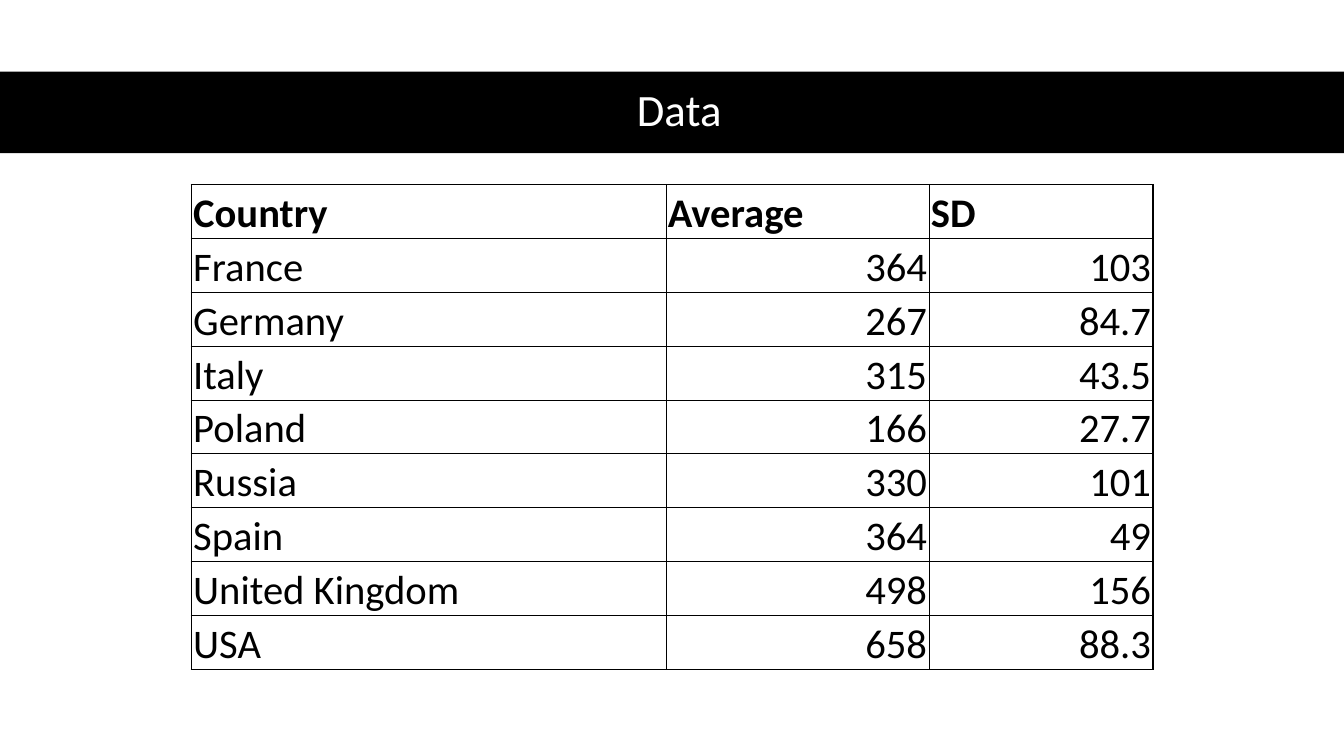
from lxml import etree
from pptx import Presentation
from pptx import util as u
from pptx.dml.color import RGBColor
from pptx.enum import shapes, text
from pptx.oxml import ns

Pt = u.Pt
BLACK = RGBColor(0, 0, 0)
WHITE = RGBColor(255, 255, 255)
FONT = "Calibri"
THIN, THICK = 0.5, 1
COLUMN_WIDTHS = (339, 188, 160)
ROW_HEIGHT = 38.48
ROWS = (
    ("Country", "Average", "SD"),
    ("France", "364", "103"),
    ("Germany", "267", "84.7"),
    ("Italy", "315", "43.5"),
    ("Poland", "166", "27.7"),
    ("Russia", "330", "101"),
    ("Spain", "364", "49"),
    ("United Kingdom", "498", "156"),
    ("USA", "658", "88.3"),
)


def write_text(frame, content, *, size, color, bold=False,
               align=text.PP_ALIGN.LEFT, line_spacing=None):
    paragraph = frame.paragraphs[0]
    paragraph.alignment = align
    paragraph.line_spacing = line_spacing
    run = paragraph.add_run()
    run.text = content
    run.font.name = FONT
    run.font.size = Pt(size)
    run.font.bold = bold
    run.font.color.rgb = color


def add_band(slide, left, top, width, height):
    shape = slide.shapes.add_shape(shapes.MSO_SHAPE.RECTANGLE,
                                   Pt(left), Pt(top), Pt(width), Pt(height))
    shape.shadow.inherit = False
    shape.fill.solid()
    shape.fill.fore_color.rgb = BLACK
    shape.line.fill.background()


def add_title(slide, content, left, top, width, height):
    frame = slide.shapes.add_textbox(Pt(left), Pt(top), Pt(width), Pt(height)).text_frame
    frame.word_wrap = True
    frame.vertical_anchor = text.MSO_ANCHOR.MIDDLE
    write_text(frame, content, size=32, color=WHITE,
               align=text.PP_ALIGN.CENTER, line_spacing=0.9)


def set_borders(cell, **widths):
    properties = cell._tc.get_or_add_tcPr()
    for side in "LRTB":
        line = etree.SubElement(properties, ns.qn(f"a:ln{side}"), w=str(Pt(widths[side])))
        fill = etree.SubElement(line, ns.qn("a:solidFill"))
        etree.SubElement(fill, ns.qn("a:srgbClr"), val=str(BLACK))


def add_data_table(slide, left, top):
    row_count, column_count = len(ROWS), len(COLUMN_WIDTHS)
    table = slide.shapes.add_table(row_count, column_count, Pt(left), Pt(top),
                                   Pt(sum(COLUMN_WIDTHS)), Pt(ROW_HEIGHT * row_count)).table
    table.horz_banding = False
    for column, width in zip(table.columns, COLUMN_WIDTHS):
        column.width = Pt(width)
    for row_index, values in enumerate(ROWS):
        table.rows[row_index].height = Pt(ROW_HEIGHT)
        for column_index, value in enumerate(values):
            cell = table.cell(row_index, column_index)
            header = row_index == 0
            number = not header and column_index > 0
            cell.margin_left = cell.margin_right = cell.margin_top = Pt(1.4)
            cell.margin_bottom = 0
            cell.vertical_anchor = text.MSO_ANCHOR.BOTTOM
            write_text(cell.text_frame, value, size=29, color=BLACK, bold=header,
                       align=text.PP_ALIGN.RIGHT if number else text.PP_ALIGN.LEFT)
            set_borders(cell,
                        L=THICK if column_index == 0 else THIN,
                        R=THICK if column_index == column_count - 1 else THIN,
                        T=THICK if header else THIN,
                        B=THICK if row_index == row_count - 1 else THIN)
            cell.fill.background()


def main():
    presentation = Presentation()
    presentation.slide_width, presentation.slide_height = Pt(960), Pt(540)
    slide = presentation.slides.add_slide(presentation.slide_layouts[6])
    add_band(slide, 0, 51.2, 960, 58.2)
    add_title(slide, "Data", 43.7, 50.5, 883, 58.2)
    add_data_table(slide, 136.6, 131.8)
    presentation.save("out.pptx")


if __name__ == "__main__":
    main()
